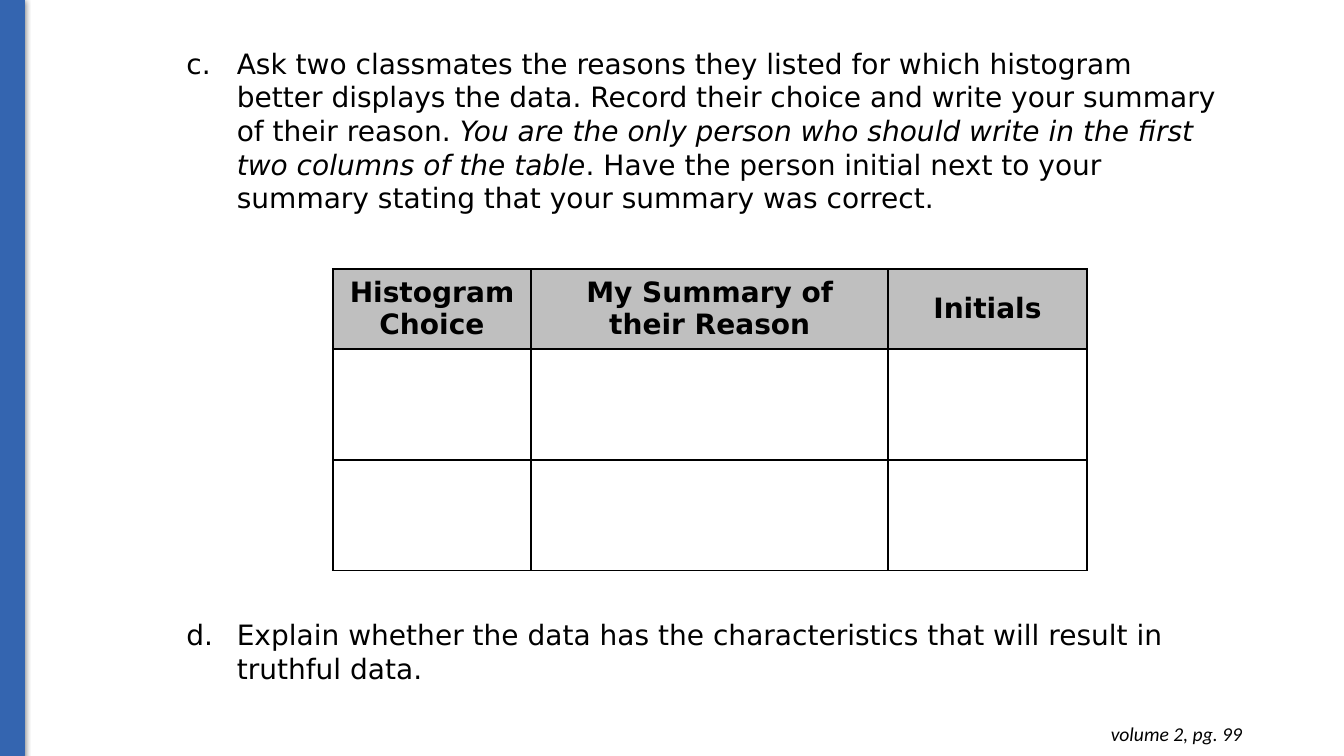
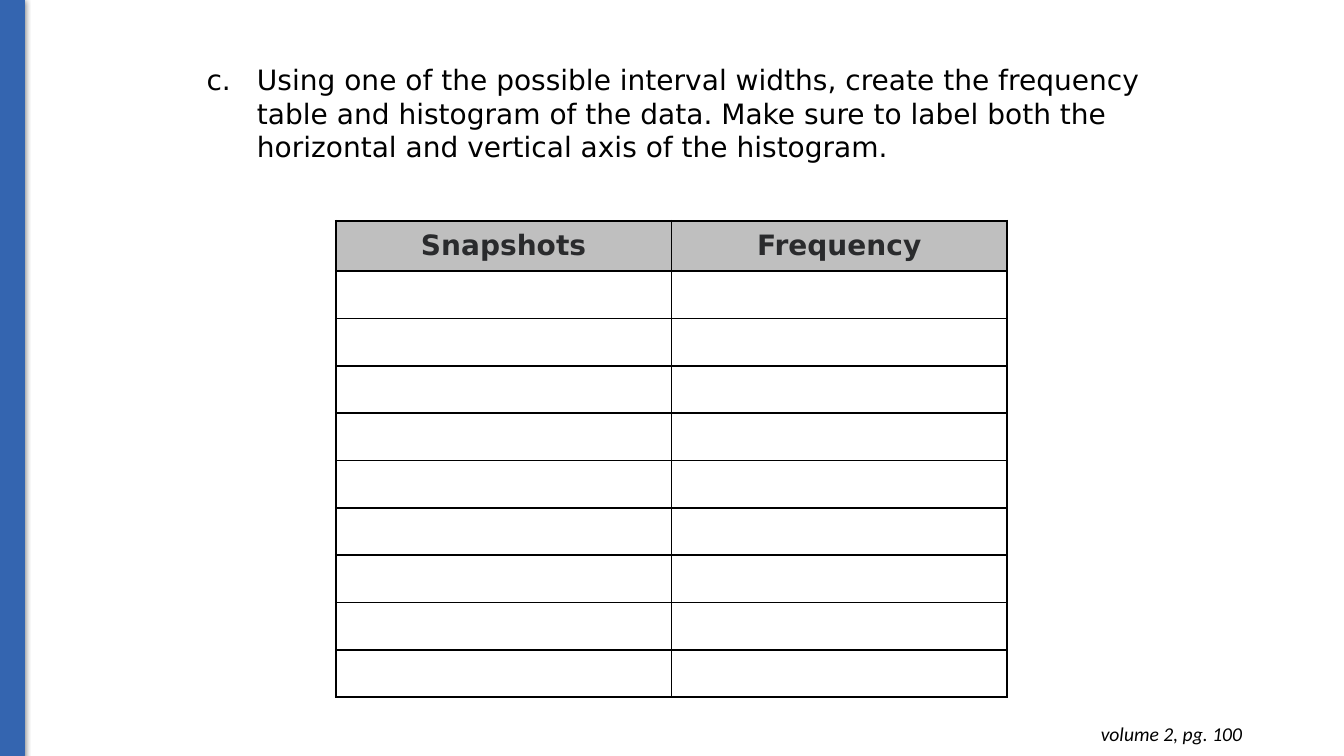
from lxml.etree import SubElement
from pptx import Presentation
from pptx.dml.color import RGBColor
from pptx.enum.shapes import MSO_SHAPE
from pptx.enum.text import MSO_ANCHOR, PP_ALIGN
from pptx.oxml import parse_xml
from pptx.oxml.ns import nsdecls, qn
from pptx.util import Inches, Pt

COLORS = {"band": "3465B0", "text": "000000", "gray": "2A2B2D",
          "head": "BFBFBF", "rule": "000000"}
FONT = "DejaVu Sans"
FOOT = "Calibri"

# Each item: left, top, width, height, number of its letter, runs (text, italic)
# Each table: left, top, column widths, row heights, header labels, header colour
PAGES = [
    {
        "items": [
            (1.75, 0.41, 10.48, 1.78, 3, [
                ("Ask two classmates the reasons they listed for which "
                 "histogram better displays the data. Record their choice "
                 "and write your summary of their reason. ", False),
                ("You are the only person who should write in the first "
                 "two columns of the table", True),
                (". Have the person initial next to your summary stating "
                 "that your summary was correct.", False)]),
            (1.75, 6.08, 10.48, 0.78, 4, [
                ("Explain whether the data has the characteristics that "
                 "will result in truthful data.", False)]),
        ],
        "table": (3.3, 2.67, [1.97, 3.54, 1.97], [0.79] + [1.1] * 2,
                  ["Histogram Choice", "My Summary of\vtheir Reason",
                   "Initials"], "text"),
        "foot": "volume 2, pg. 99",
    },
    {
        "items": [
            (1.95, 0.57, 9.68, 1.11, 3, [
                ("Using one of the possible interval widths, create the "
                 "frequency table and histogram of the data. Make sure to "
                 "label both the horizontal and vertical axis of the "
                 "histogram.", False)]),
        ],
        "table": (3.33, 2.19, [3.33] * 2, [0.5] + [0.47] * 9,
                  ["Snapshots", "Frequency"], "gray"),
        "foot": "volume 2, pg. 100",
    },
]


def style(run, size, name=FONT, color="text", bold=False, italic=False):
    font = run.font
    font.size, font.name = Pt(size), name
    font.bold, font.italic = bold, italic
    font.color.rgb = RGBColor.from_string(COLORS[color])


def frame(cell):
    props = cell._tc.get_or_add_tcPr()
    for side in ("lnL", "lnR", "lnT", "lnB"):
        line = SubElement(props, qn("a:" + side), w=str(Pt(1.5)))
        fill = SubElement(line, qn("a:solidFill"))
        SubElement(fill, qn("a:srgbClr"), val=COLORS["rule"])


prs = Presentation()
prs.slide_width, prs.slide_height = Inches(13.33), Inches(7.5)

for page in PAGES:
    slide = prs.slides.add_slide(prs.slide_layouts[6])
    shapes = slide.shapes

    # Blue band with a soft shadow
    band = shapes.add_shape(MSO_SHAPE.RECTANGLE, 0, Inches(-0.01),
                            Inches(0.24), Inches(7.51))
    blue = RGBColor.from_string(COLORS["band"])
    band.fill.solid()
    band.fill.fore_color.rgb = blue
    band.line.color.rgb = blue
    band.line.width = Pt(0.75)
    band._element.spPr.append(parse_xml(
        f'<a:effectLst {nsdecls("a")}>'
        f'<a:outerShdw blurRad="{Pt(4.5)}" dist="{Pt(1.5)}" dir="5400000" '
        'rotWithShape="0"><a:srgbClr val="000000"><a:alpha val="50000"/>'
        '</a:srgbClr></a:outerShdw></a:effectLst>'))

    # Lettered questions
    for left, top, width, height, start, parts in page["items"]:
        box = shapes.add_textbox(Inches(left), Inches(top),
                                 Inches(width), Inches(height))
        box.text_frame.word_wrap = True
        para = box.text_frame.paragraphs[0]
        props = para._p.get_or_add_pPr()
        props.set("marL", str(Inches(0.5)))
        props.set("indent", str(Inches(-0.5)))
        SubElement(props, qn("a:buFont"), typeface=FONT)
        SubElement(props, qn("a:buAutoNum"), type="alphaLcPeriod",
                   startAt=str(start))
        for text, slant in parts:
            run = para.add_run()
            run.text = text
            style(run, 20, italic=slant)

    # Table to fill in
    left, top, cols, rows, heads, color = page["table"]
    table = shapes.add_table(len(rows), len(cols), Inches(left), Inches(top),
                             Inches(sum(cols)), Inches(sum(rows))).table
    table.horz_banding = False
    for col, width in zip(table.columns, cols):
        col.width = Inches(width)
    for row, height in zip(table.rows, rows):
        row.height = Inches(height)
    for cell in table.iter_cells():
        frame(cell)
        cell.fill.background()
    for cell, head in zip(table.rows[0].cells, heads):
        cell.fill.solid()
        cell.fill.fore_color.rgb = RGBColor.from_string(COLORS["head"])
        cell.vertical_anchor = MSO_ANCHOR.MIDDLE
        cell.text_frame.text = head
        para = cell.text_frame.paragraphs[0]
        para.alignment = PP_ALIGN.CENTER
        for run in para.runs:
            style(run, 20, color=color, bold=True)

    # Page reference
    box = shapes.add_textbox(Inches(9.54), Inches(7.06),
                             Inches(2.88), Inches(0.44))
    text = box.text_frame
    text.word_wrap = True
    text.margin_top = text.margin_bottom = Inches(0.1)
    text.text = page["foot"]
    para = text.paragraphs[0]
    para.alignment = PP_ALIGN.RIGHT
    style(para.runs[0], 14, FOOT, italic=True)

prs.save("out.pptx")
